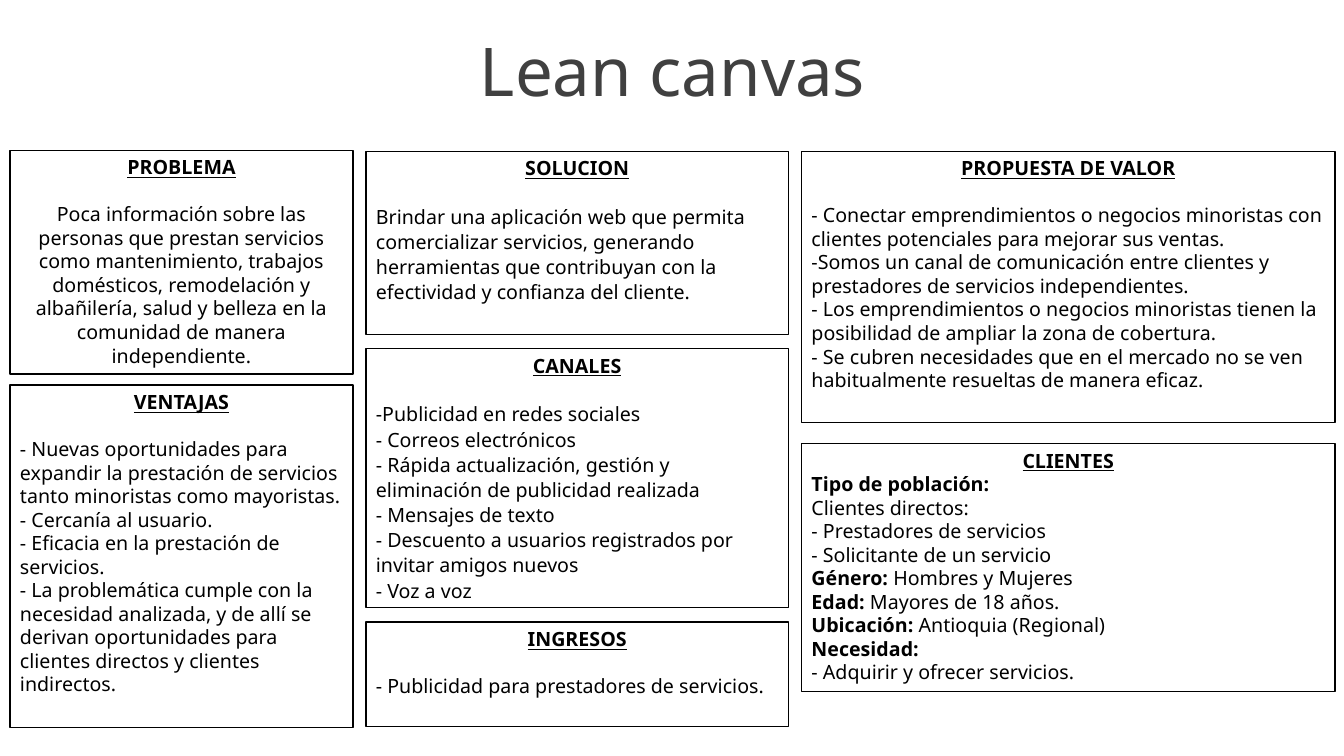
from pptx import Presentation
from pptx.dml.color import RGBColor
from pptx.enum.shapes import MSO_SHAPE
from pptx.enum.text import MSO_ANCHOR, MSO_AUTO_SIZE, PP_ALIGN
from pptx.util import Inches, Pt

RECTANGLE = MSO_SHAPE.RECTANGLE
TOP, MIDDLE = MSO_ANCHOR.TOP, MSO_ANCHOR.MIDDLE
LEFT, CENTER = PP_ALIGN.LEFT, PP_ALIGN.CENTER
FIXED = MSO_AUTO_SIZE.NONE

FONT = "Noto Sans"
BLACK, WHITE, GRAY = "000000", "FFFFFF", "404040"
BODY_SIZE, HEADING_GAP = 14, 16.8

# Content: each body line is a (bold label, plain text) pair
TITLE = "Lean canvas"

PROBLEM = [("", "Poca información sobre las personas que prestan servicios como "
            "mantenimiento, trabajos domésticos, remodelación y albañilería, salud y "
            "belleza en la comunidad de manera independiente.")]
ADVANTAGES = [
    ("", "- Nuevas oportunidades para expandir la prestación de servicios tanto "
     "minoristas como mayoristas."),
    ("", "- Cercanía al usuario."),
    ("", "- Eficacia en la prestación de servicios."),
    ("", "- La problemática cumple con la necesidad analizada, y de allí se derivan "
     "oportunidades para clientes directos y clientes indirectos."),
]
SOLUTION = [("", "Brindar una aplicación web que permita comercializar servicios, "
             "generando herramientas que contribuyan con la efectividad y confianza "
             "del cliente.")]
CHANNELS = [
    ("", "-Publicidad en redes sociales"),
    ("", "- Correos electrónicos"),
    ("", "- Rápida actualización, gestión y eliminación de publicidad realizada"),
    ("", "- Mensajes de texto"),
    ("", "- Descuento a usuarios registrados por invitar amigos nuevos"),
    ("", "- Voz a voz"),
]
INCOME = [("", "- Publicidad para prestadores de servicios.")]
VALUE = [
    ("", "- Conectar emprendimientos o negocios minoristas con clientes potenciales "
     "para mejorar sus ventas."),
    ("", "-Somos un canal de comunicación entre clientes y prestadores de servicios "
     "independientes."),
    ("", "- Los emprendimientos o negocios minoristas tienen la posibilidad de ampliar "
     "la zona de cobertura."),
    ("", "- Se cubren necesidades que en el mercado no se ven habitualmente resueltas "
     "de manera eficaz."),
]
CUSTOMERS = [
    ("Tipo de población:", ""),
    ("", "Clientes directos:"),
    ("", "- Prestadores de servicios"),
    ("", "- Solicitante de un servicio"),
    ("Género: ", "Hombres y Mujeres"),
    ("Edad: ", "Mayores de 18 años."),
    ("Ubicación: ", "Antioquia (Regional)"),
    ("Necesidad:", ""),
    ("", "- Adquirir y ofrecer servicios."),
]

# Columns: left, width, top, gap between boxes, then the boxes
# Box: heading, height, heading gap, body alignment, line spacing, body
COLUMNS = [
    (0.1, 3.4, 1.49, 0.11, [
        ("PROBLEMA", 2.22, HEADING_GAP, CENTER, 1, PROBLEM),
        ("VENTAJAS", 3.4, HEADING_GAP, LEFT, 1, ADVANTAGES),
    ]),
    (3.63, 4.19, 1.5, 0.14, [
        ("SOLUCION", 1.82, HEADING_GAP, LEFT, 1.07, SOLUTION),
        ("CANALES", 2.57, HEADING_GAP, LEFT, 1.07, CHANNELS),
        ("INGRESOS", 1.04, HEADING_GAP, LEFT, 1, INCOME),
    ]),
    (7.95, 5.29, 1.5, 0.21, [
        ("PROPUESTA DE VALOR", 2.69, HEADING_GAP, LEFT, 1, VALUE),
        ("CLIENTES", 2.46, 0, LEFT, 1, CUSTOMERS),
    ]),
]


def color(value):
    return RGBColor.from_string(value)


def add_span(para, text, size=BODY_SIZE, ink=BLACK, bold=False, underline=False):
    span = para.add_run()
    span.text = text
    font = span.font
    font.name, font.size = FONT, Pt(size)
    font.bold, font.underline = bold, underline
    font.color.rgb = color(ink)


def add_box(page, left, top, width, box):
    heading, height, gap, align, spacing, body = box
    shape = page.shapes.add_shape(
        RECTANGLE, Inches(left), Inches(top), Inches(width), Inches(height))
    shape.shadow.inherit = False
    shape.fill.solid()
    shape.fill.fore_color.rgb = color(WHITE)
    shape.line.color.rgb = color(BLACK)
    shape.line.width = Pt(1)

    frame = shape.text_frame
    frame.word_wrap = True
    frame.vertical_anchor = TOP
    para = frame.paragraphs[0]
    para.alignment = CENTER
    para.space_after = Pt(gap)
    add_span(para, heading, bold=True, underline=True)

    for label, text in body:
        para = frame.add_paragraph()
        para.alignment = align
        para.line_spacing = spacing
        if label:
            add_span(para, label, bold=True)
        if text:
            add_span(para, text)


deck = Presentation()
deck.slide_width, deck.slide_height = Inches(13.33), Inches(7.5)
page = deck.slides.add_slide(deck.slide_layouts[5])

# Title
title = page.shapes.title
title.left, title.top = Inches(2.7), Inches(0.24)
title.width, title.height = Inches(7.94), Inches(0.91)
title.text_frame.auto_size = FIXED
title.text_frame.vertical_anchor = MIDDLE
title_para = title.text_frame.paragraphs[0]
title_para.alignment = CENTER
add_span(title_para, TITLE, size=48, ink=GRAY)

# Canvas boxes, stacked down each column
for left, width, top, gap, boxes in COLUMNS:
    for box in boxes:
        add_box(page, left, top, width, box)
        top += box[1] + gap

deck.save("out.pptx")
